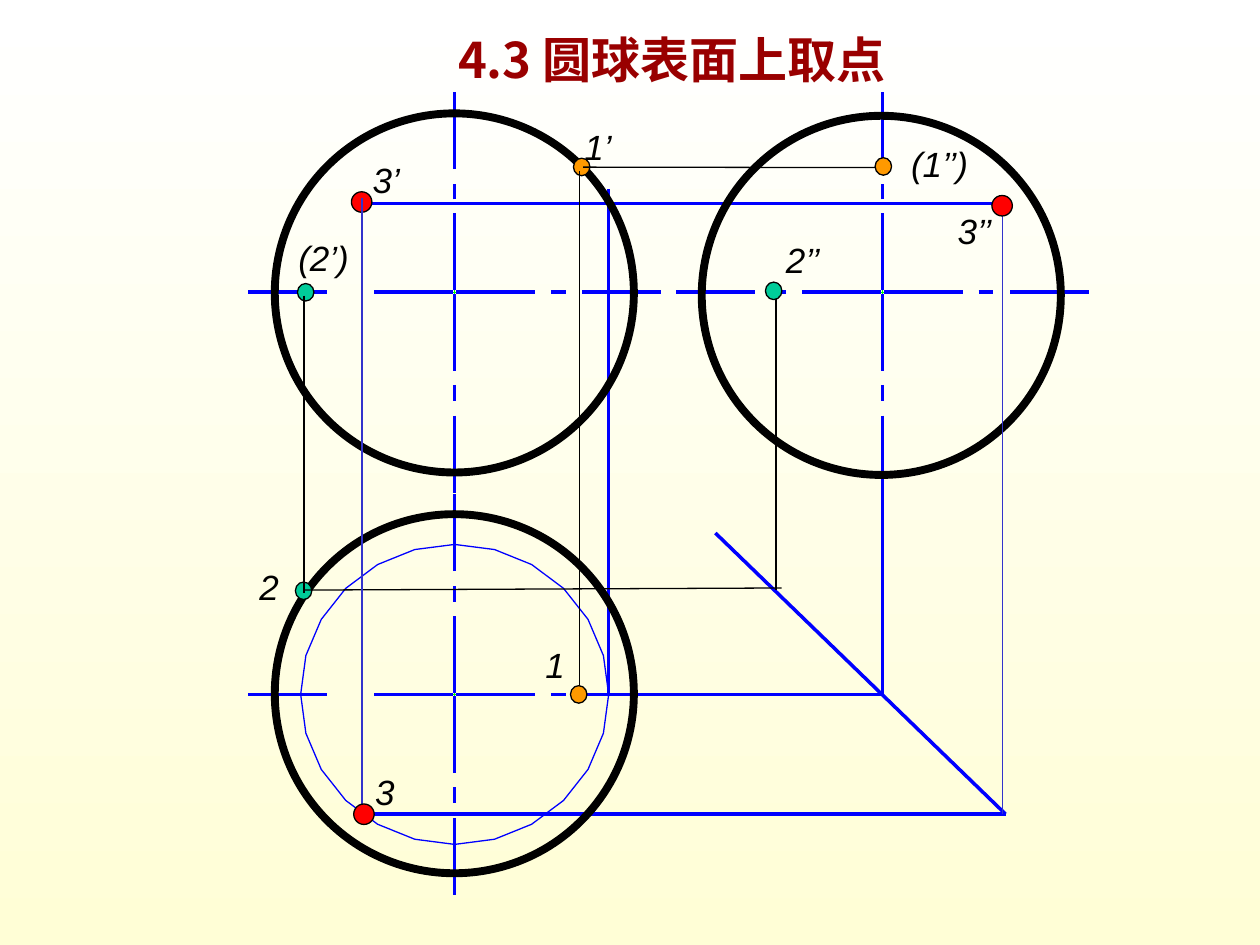
from dataclasses import dataclass
from math import cos, pi, sin

from lxml import etree
from pptx import Presentation
from pptx import util as u
from pptx.dml.color import RGBColor
from pptx.enum import shapes, text
from pptx.oxml import ns

BLUE, GREEN, BLACK, INDIGO = "0000FF", "00FF00", "000000", "3333CC"
TEAL, ORANGE, RED = "00CC99", "FF9900", "FF0000"
LATIN, CJK = "Arial", "Noto Sans CJK SC"
LEFT, RIGHT, CENTER = text.PP_ALIGN.LEFT, text.PP_ALIGN.RIGHT, text.PP_ALIGN.CENTER

FRONT_X, SIDE_X = 259.8, 504.2
FRONT_Y, TOP_Y = 167, 396.8
DIAMETER = 205.2
# Dash start and end, measured outwards from the centre of a view
ACROSS = ((1, 46), (55, 63.5), (73, 118))
DOWN = ((1, 45), (53, 62), (70.5, 114.5))


@dataclass
class View:
    x: float
    y: float
    circle_left: float
    circle_top: float
    left_dashes: tuple
    lower_dashes: tuple = DOWN


@dataclass
class Line:
    x1: float
    y1: float
    x2: float
    y2: float
    color: str = BLACK
    width: float = 0.75


@dataclass
class Mark:
    """A projected point with its label."""
    left: float
    top: float
    color: str
    label: str
    label_left: float
    label_top: float
    size: tuple = (9.4, 10)
    align: text.PP_ALIGN = LEFT
    inset: float = 7.2
    label_size: tuple = (45.4, 19.4)


BIG = {"size": (11.7, 11.7), "inset": 0}
LONG_DASHES = (ACROSS[0], ACROSS[2])
VIEWS = (
    View(FRONT_X, FRONT_Y, 157, 64.8, LONG_DASHES),
    View(FRONT_X, TOP_Y, 157, 293.8, LONG_DASHES),
    View(SIDE_X, FRONT_Y, 401, 66.2, ACROSS),
)
CONSTRUCTION = (
    Line(206.6, 465.2, 574.6, 465.2, BLUE, 0),
    Line(206.6, 116.2, 574.6, 116.2, BLUE, 0),
    Line(347.6, 108.2, 347.6, 397.2, BLUE, 0),
    Line(377.6, TOP_Y, SIDE_X, TOP_Y, BLUE, 0),
    Line(SIDE_X, 281, SIDE_X, TOP_Y, BLUE, 0),
    Line(408.8, 304.6, 574.6, 465.2, BLUE, 0),
)
PROJECTIONS = (
    Line(331, 97.8, 331, TOP_Y),
    Line(333.2, 95.5, 507, 95.8),
    Line(173.8, 169, 173.8, 339),
    Line(173.8, 337.2, 446.6, 336),
    Line(443.4, 337, 443.4, 167.6),
    Line(206.8, 113.2, 206.8, 467, INDIGO),
    Line(572.7, 465.2, 572.7, 115.2, INDIGO),
)
MARKS_UNDER_LINES = (
    Mark(170, 162, TEAL, "(2’)", 163.4, 141.8),
    Mark(327.7, 90.4, ORANGE, "1’", 326.9, 78.5),
    Mark(168.8, 332.6, TEAL, "2", 121, 329.8, align=RIGHT),
    Mark(200.8, 109.6, RED, "3’", 213, 97.2, **BIG),
)
MARKS_OVER_LINES = (
    Mark(326, 391.8, ORANGE, "1", 284.4, 374.4, align=RIGHT),
    Mark(500.1, 90.1, ORANGE, "(1’’)", 520.6, 88.4, inset=0,
         label_size=(41.5, 31.7)),
    Mark(437.4, 161.2, TEAL, "2’’", 442, 143.2),
    Mark(202.1, 459.4, RED, "3", 214.4, 447.2, **BIG),
    Mark(566.8, 111.7, RED, "3’’", 547.2, 126.8, **BIG),
)


def rgb(color: str) -> RGBColor:
    return RGBColor.from_string(color)


def draw_line(slide, line: Line) -> None:
    ends = (u.Pt(v) for v in (line.x1, line.y1, line.x2, line.y2))
    connector = slide.shapes.add_connector(shapes.MSO_CONNECTOR.STRAIGHT, *ends)
    connector.line.color.rgb = rgb(line.color)
    connector.line.width = u.Pt(line.width)
    etree.SubElement(connector._element.spPr, ns.qn("a:effectLst"))


def style_outline(shape, color: str, width: float, fill: str = "") -> None:
    shape.shadow.inherit = False
    if fill:
        shape.fill.solid()
        shape.fill.fore_color.rgb = rgb(fill)
    else:
        shape.fill.background()
    shape.line.color.rgb = rgb(color)
    shape.line.width = u.Pt(width)


def draw_ellipse(slide, box: tuple, width: float, fill: str = "") -> None:
    ellipse = slide.shapes.add_shape(shapes.MSO_SHAPE.OVAL, *map(u.Pt, box))
    style_outline(ellipse, BLACK, width, fill)


def draw_text(slide, words: str, box: tuple, frame_format: dict,
              paragraph_format: dict, font_format: dict, color: str) -> None:
    frame = slide.shapes.add_textbox(*map(u.Pt, box)).text_frame
    paragraph = frame.paragraphs[0]
    run = paragraph.add_run()
    run.text = words
    for target, values in ((frame, frame_format), (paragraph, paragraph_format),
                           (run.font, font_format)):
        for name, value in values.items():
            setattr(target, name, value)
    run.font.color.rgb = rgb(color)
    east_asian = etree.SubElement(run._r.get_or_add_rPr(), ns.qn("a:ea"))
    east_asian.set("typeface", font_format["name"])


def draw_axes(slide, view: View) -> None:
    x, y = view.x, view.y
    draw_line(slide, Line(x - 0.4, y, x + 0.4, y, GREEN, 0))
    draw_line(slide, Line(x, y - 0.4, x, y + 0.4, GREEN, 0))
    for sign, dashes in ((-1, view.left_dashes), (1, ACROSS)):
        for start, end in dashes:
            draw_line(slide, Line(x + sign * start, y, x + sign * end, y, BLUE, 0))
    for sign, dashes in ((-1, DOWN), (1, view.lower_dashes)):
        for start, end in dashes:
            draw_line(slide, Line(x, y + sign * start, x, y + sign * end, BLUE, 0))


def draw_section_circle(slide, sides: int = 24) -> None:
    """Draw the parallel circle through point 3 as a polygon."""
    corners = [(u.Pt(FRONT_X + 88 * cos(2 * pi * i / sides)),
                u.Pt(TOP_Y + 85.7 * sin(2 * pi * i / sides))) for i in range(sides)]
    builder = slide.shapes.build_freeform(*corners[0])
    builder.add_line_segments(corners[1:], close=True)
    style_outline(builder.convert_to_shape(), BLUE, 0)


def draw_mark(slide, mark: Mark) -> None:
    draw_ellipse(slide, (mark.left, mark.top, *mark.size), 0.75, mark.color)
    draw_text(slide, mark.label, (mark.label_left, mark.label_top, *mark.label_size),
              {"word_wrap": True, "margin_left": u.Pt(mark.inset),
               "auto_size": text.MSO_AUTO_SIZE.SHAPE_TO_FIT_TEXT},
              {"alignment": mark.align, "line_spacing": 0.5},
              {"name": LATIN, "size": u.Pt(20), "italic": True}, BLACK)


def paint_background(slide) -> None:
    fill = slide.background.fill
    fill.gradient()
    fill.gradient_angle = 270
    for stop, position, color in zip(fill.gradient_stops, (0, 1), ("FFFFFF", "FFFED6")):
        stop.position = position
        stop.color.rgb = rgb(color)


def main() -> None:
    deck = Presentation()
    deck.slide_width, deck.slide_height = u.Pt(720), u.Pt(540)
    slide = deck.slides.add_slide(deck.slide_layouts[6])
    paint_background(slide)
    draw_section_circle(slide)
    for line in CONSTRUCTION:
        draw_line(slide, line)
    for view in VIEWS:
        draw_axes(slide, view)
    for view in VIEWS:
        draw_ellipse(slide, (view.circle_left, view.circle_top, DIAMETER, DIAMETER), 4.5)
    draw_text(slide, "4.3 圆球表面上取点", (218.2, 6.5, 331.2, 54),
              {"word_wrap": True, "vertical_anchor": text.MSO_ANCHOR.MIDDLE},
              {"alignment": CENTER},
              {"name": CJK, "size": u.Pt(28), "bold": True}, "990000")
    for mark in MARKS_UNDER_LINES:
        draw_mark(slide, mark)
    for line in PROJECTIONS:
        draw_line(slide, line)
    for mark in MARKS_OVER_LINES:
        draw_mark(slide, mark)
    deck.save("out.pptx")


if __name__ == "__main__":
    main()
